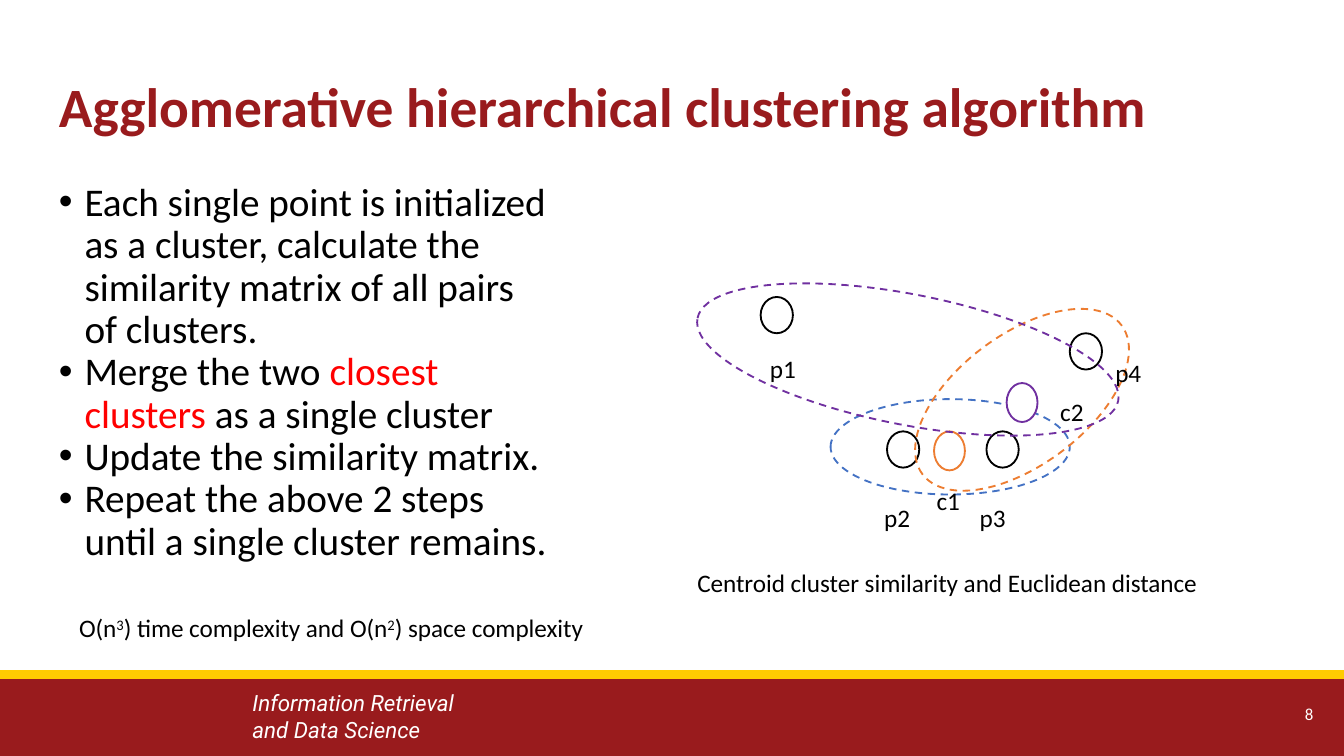
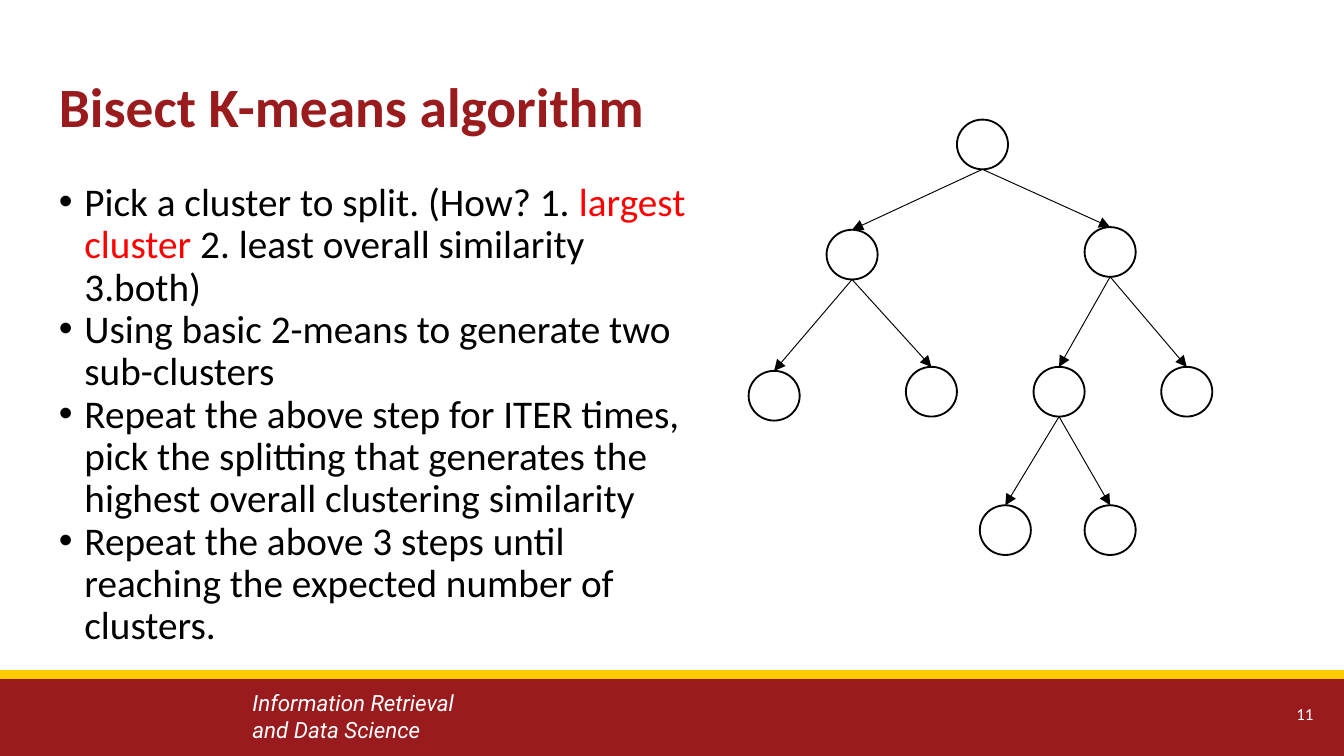
from collections import namedtuple

from lxml import etree
from pptx import Presentation
from pptx.dml.color import RGBColor
from pptx.enum.dml import MSO_LINE
from pptx.enum.shapes import MSO_CONNECTOR, MSO_SHAPE
from pptx.enum.text import MSO_ANCHOR, MSO_AUTO_SIZE, PP_ALIGN
from pptx.oxml.ns import qn
from pptx.util import Pt

SCALE = 9144
Box = namedtuple("Box", "left top width height")

STRAIGHT = MSO_CONNECTOR.STRAIGHT
OVAL = MSO_SHAPE.OVAL
RECTANGLE = MSO_SHAPE.RECTANGLE
DASH = MSO_LINE.DASH
MIDDLE = MSO_ANCHOR.MIDDLE
RIGHT = PP_ALIGN.RIGHT
GROW = MSO_AUTO_SIZE.SHAPE_TO_FIT_TEXT

CRIMSON = RGBColor(0x99, 0x1B, 0x1D)
GOLD = RGBColor(0xFF, 0xCC, 0x01)
WHITE = RGBColor(0xFF, 0xFF, 0xFF)
BLACK = RGBColor(0, 0, 0)
RED = RGBColor(0xFF, 0, 0)
BLUE = RGBColor(0x44, 0x72, 0xC4)
ORANGE = RGBColor(0xED, 0x7D, 0x31)
PURPLE = RGBColor(0x70, 0x30, 0xA0)

TITLE = {"name": "Calibri", "size": Pt(29.7), "bold": True, "color": CRIMSON}
BODY = {"name": "Calibri", "size": Pt(21), "color": BLACK}
LABEL = {"name": "Calibri", "size": Pt(13.5), "color": BLACK}
NUMBER = {"name": "Calibri", "size": Pt(9), "color": WHITE}
FOOTER = {"name": "Roboto", "size": Pt(12), "italic": True, "color": WHITE}
HIGHLIGHT = {"color": RED}
SUPERSCRIPT = {"baseline": 30000}

PAGE_WIDTH = 1000
BAND = Box(0, 502, PAGE_WIDTH, 61)
TITLE_BOX = Box(34, 49, 932, 63)
LABEL_WIDTH, LABEL_HEIGHT = 55, 33
NOTE_WIDTH = 460
INDENT = 19
PADDING = 10


def emu(*lengths):
    return [length * SCALE for length in lengths]


def inside(box, left, top, width, height):
    return Box(box.left + left, box.top + top, width, height)


def set_format(span, values):
    for name, value in values.items():
        if name == "color":
            span.font.color.rgb = value
        elif name == "baseline":
            span._r.get_or_add_rPr().set("baseline", str(value))
        else:
            setattr(span.font, name, value)


def add_text(page, box, paras, style, frame_format=None, para_format=None, bullet=False):
    shape = page.shapes.add_textbox(*emu(*box))
    frame = shape.text_frame
    for name, value in {"word_wrap": True, **(frame_format or {})}.items():
        setattr(frame, name, value)
    for index, spans in enumerate(paras):
        para = frame.paragraphs[0] if index == 0 else frame.add_paragraph()
        for name, value in (para_format or {}).items():
            setattr(para, name, value)
        if bullet:
            add_bullet(para)
        for text, extra in spans:
            span = para.add_run()
            span.text = text
            set_format(span, {**style, **extra})


def add_bullet(para):
    properties = para._p.get_or_add_pPr()
    indent = INDENT * SCALE
    properties.set("marL", str(indent))
    properties.set("indent", str(-indent))
    etree.SubElement(properties, qn("a:buFont")).set("typeface", "Arial")
    etree.SubElement(properties, qn("a:buChar")).set("char", "•")


def padded(**values):
    sides = ("left", "top", "right", "bottom")
    return {**{f"margin_{side}": PADDING * SCALE for side in sides}, **values}


def add_label(page, box, text):
    add_text(page, box, [[(text, {})]], LABEL, {"auto_size": GROW})


def add_shape(page, kind, box, fill=None, line=None, dash=None, rotation=0):
    shape = page.shapes.add_shape(kind, *emu(*box))
    shape.shadow.inherit = False
    shape.rotation = rotation
    if fill is None:
        shape.fill.background()
    else:
        shape.fill.solid()
        shape.fill.fore_color.rgb = fill
    if line is None:
        shape.line.fill.background()
    else:
        shape.line.color.rgb = line
        shape.line.width = Pt(1)
        shape.line.dash_style = dash


def add_line(page, start, end, color, width, arrow=False):
    line = page.shapes.add_connector(STRAIGHT, *emu(*start, *end))
    line.line.color.rgb = color
    line.line.width = Pt(width)
    if arrow:
        etree.SubElement(line.line._get_or_add_ln(), qn("a:tailEnd")).set("type", "triangle")
    etree.SubElement(line._element.spPr, qn("a:effectLst"))


def add_footer(page, box, number):
    add_shape(page, RECTANGLE, box, CRIMSON)
    add_text(page, inside(box, 178, 6, 179, 50),
             [[("Information Retrieval", {})], [("and Data Science", {})]],
             FOOTER, {"word_wrap": False, "auto_size": GROW})
    add_line(page, (box.left, box.top), (box.left + box.width, box.top), GOLD, 4.5)
    add_text(page, inside(box, 927, 8, 60, 43), [[(number, {})]], NUMBER,
             padded(vertical_anchor=MIDDLE), {"alignment": RIGHT})


def add_page(deck, title, number, body_width, paras):
    page = deck.slides.add_slide(deck.slide_layouts[6])
    add_footer(page, BAND, number)
    spacing = {"line_spacing": 0.9}
    add_text(page, TITLE_BOX, [[(title, {})]], TITLE, padded(), spacing)
    add_text(page, inside(TITLE_BOX, 0, 77, body_width, 374), paras, BODY,
             padded(), spacing, bullet=True)
    return page


def add_cluster_diagram(page, box):
    points = {"p1": (66, 21), "p2": (160, 121), "p3": (234, 121), "p4": (296, 48)}
    labels = {"p1": (63, 58), "p2": (148, 169), "p3": (219, 169), "p4": (320, 61),
              "c1": (187, 156), "c2": (279, 90)}
    clusters = [
        (BLUE, (118, 97, 178, 71), 0, None),
        (ORANGE, (168, 49, 185, 97), 323.2, (195, 121)),
        (PURPLE, (16, 19, 319, 97), 11.1, (249, 85)),
    ]
    for place in points.values():
        add_shape(page, OVAL, inside(box, *place, 24, 27), WHITE, BLACK)
    for color, outline, rotation, centroid in clusters:
        if centroid:
            add_shape(page, OVAL, inside(box, *centroid, 23, 29), WHITE, color)
        add_shape(page, OVAL, inside(box, *outline), None, color, DASH, rotation)
    for text, place in labels.items():
        add_label(page, inside(box, *place, LABEL_WIDTH, LABEL_HEIGHT), text)
    add_label(page, inside(box, 9, 217, NOTE_WIDTH, LABEL_HEIGHT),
              "Centroid cluster similarity and Euclidean distance")


def add_split_tree(page, box):
    width, height = 38, 37
    nodes = {"": (155, 0), "L": (58, 82), "R": (250, 80),
             "LL": (0, 187), "LR": (117, 184), "RL": (212, 184), "RR": (307, 184),
             "RLL": (172, 287), "RLR": (250, 287)}
    places = {name: inside(box, *place, width, height) for name, place in nodes.items()}
    for place in places.values():
        add_shape(page, OVAL, place, WHITE, BLACK)
    for name, child in places.items():
        if name:
            parent = places[name[:-1]]
            add_line(page, (parent.left + width // 2, parent.top + height),
                     (child.left + width // 2, child.top), BLACK, 0.5, arrow=True)


def build_agglomerative(deck):
    page = add_page(deck, "Agglomerative hierarchical clustering algorithm", "8", 389, [
        [("Each single point is initialized as a cluster, calculate the "
          "similarity matrix of all pairs of clusters.", {})],
        [("Merge the two ", {}), ("closest clusters", HIGHLIGHT),
         (" as a single cluster", {})],
        [("Update the similarity matrix.", {})],
        [("Repeat the above 2 steps until a single cluster remains.", {})],
    ])
    add_cluster_diagram(page, Box(500, 200, 469, 250))
    add_text(page, Box(49, 451, NOTE_WIDTH, LABEL_HEIGHT), [[
        ("O(n", {}), ("3", SUPERSCRIPT), (") time complexity and O(n", {}),
        ("2", SUPERSCRIPT), (") space complexity", {}),
    ]], LABEL, {"auto_size": GROW})


def build_bisect(deck):
    page = add_page(deck, "Bisect K-means algorithm", "11", 504, [
        [("Pick a cluster to split. (How? 1. ", {}), ("largest cluster", HIGHLIGHT),
         (" 2. least overall similarity 3.both)", {})],
        [("Using basic 2-means to generate two sub-clusters", {})],
        [("Repeat the above step for ITER times, pick the splitting that "
          "generates the highest overall clustering similarity", {})],
        [("Repeat the above 3 steps until reaching the expected number of "
          "clusters.", {})],
    ])
    add_split_tree(page, Box(557, 89, 345, 324))


def main():
    deck = Presentation()
    deck.slide_width = PAGE_WIDTH * SCALE
    deck.slide_height = deck.slide_width * 9 // 16
    build_agglomerative(deck)
    build_bisect(deck)
    deck.save("out.pptx")


if __name__ == "__main__":
    main()
